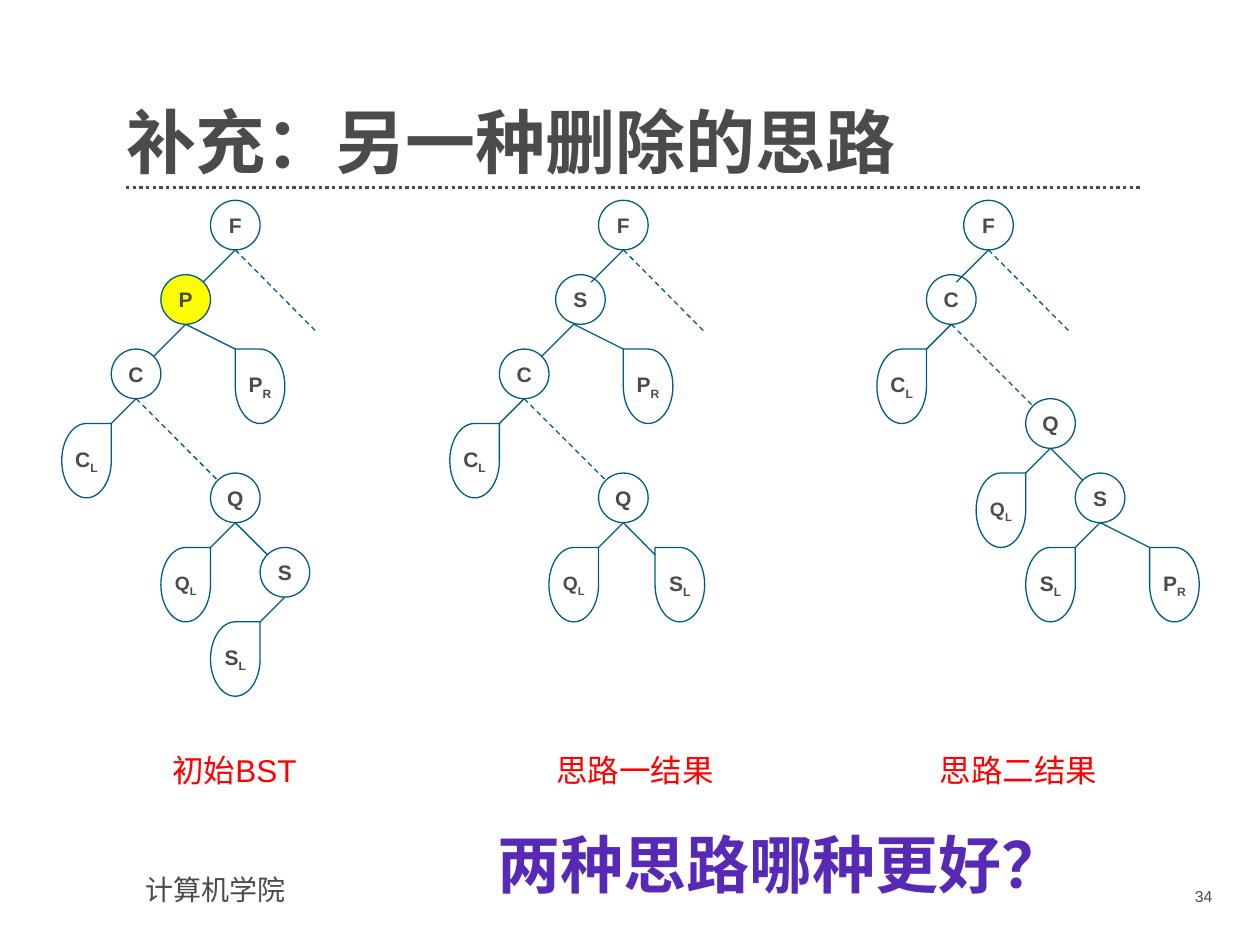
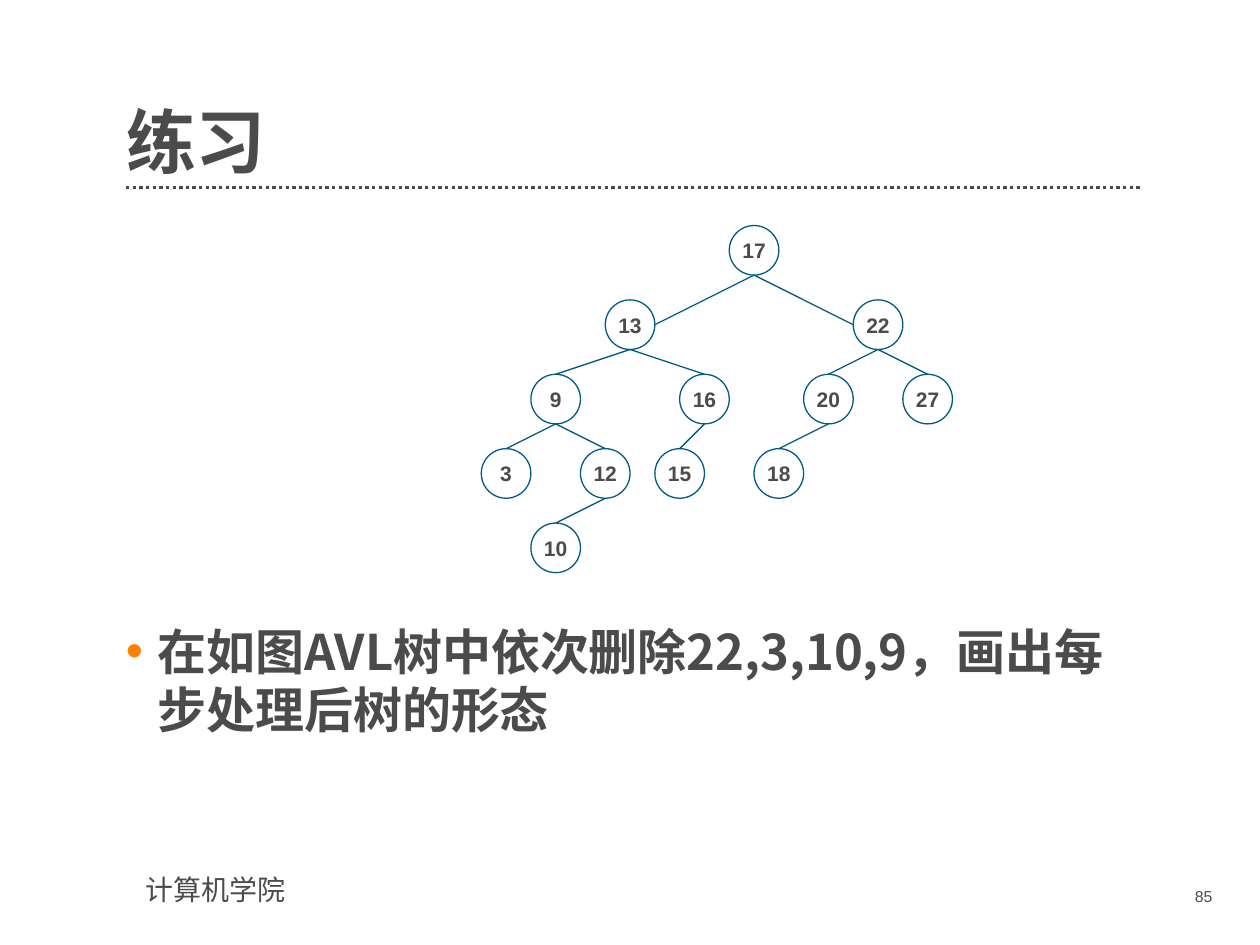
from lxml import etree
from pptx import Presentation
from pptx import util as u
from pptx.dml.color import RGBColor
from pptx.enum import dml, shapes, text
from pptx.oxml.ns import qn

PX = u.Inches(1) // 100      # one px is a hundredth of an inch
UNIT = 19.68                 # tree grid step in px; a node is two steps wide
RIM = 0.3                    # grid distance from a node's box to its rim on the diagonal
INK, BLUE, YELLOW = "4B4B4B", "005A84", "FFFF00"
RED, PURPLE, ORANGE = "FF0000", "5729B6", "FF8000"
LATIN, CJK = "Arial", "Noto Sans CJK SC"


def px(length):
    return round(length * PX)


def color(value):
    return RGBColor.from_string(value)


class Deck:
    """Shared style and the page being built."""

    def __init__(self):
        self.deck = Presentation()
        self.deck.slide_width, self.deck.slide_height = px(1000), px(750)
        self.page = None

    def add_page(self, title, number):
        self.page = self.deck.slides.add_slide(self.deck.slide_layouts[5])
        box = self.page.shapes.title
        box.left, box.top, box.width, box.height = px(100), px(55), px(806), px(91)
        para = self.fill_frame(box.text_frame, title, 40, font=CJK, bold=True, insets=(0, 0, 0, 0))
        box.text_frame.vertical_anchor = text.MSO_ANCHOR.BOTTOM
        para.line_spacing = 0.9
        self.line((100, 149), (906, 149), INK, 1.9, dml.MSO_LINE.ROUND_DOT)
        self.label("计算机学院", (106, 688, 276, 37), 16)
        self.label(number, (873, 699, 99, 29), 9, align=text.PP_ALIGN.RIGHT)

    def fill_frame(self, frame, words, size, ink=INK, font=LATIN, bold=False,
                   align=text.PP_ALIGN.LEFT, insets=(10, 5, 10, 5), wrap=True):
        frame.word_wrap = wrap
        frame.auto_size = text.MSO_AUTO_SIZE.NONE
        (frame.margin_left, frame.margin_top,
         frame.margin_right, frame.margin_bottom) = map(px, insets)
        para = frame.paragraphs[0]
        para.add_run().text = words
        para.alignment = align
        self.style(para, size, ink, font, bold)
        return para

    def style(self, para, size, ink, font, bold):
        para.font.size, para.font.bold = u.Pt(size), bold
        para.font.color.rgb = color(ink)
        para.font.name = font
        etree.SubElement(para.font._element, qn("a:ea"), typeface=CJK)

    def label(self, words, place, size, **options):
        box = self.page.shapes.add_textbox(*map(px, place))
        return self.fill_frame(box.text_frame, words, size, **options)

    def bullet(self, words, place, size):
        box = self.page.shapes.add_textbox(*map(px, place))
        frame = box.text_frame
        props = frame.paragraphs[0]._p.get_or_add_pPr()
        props.set("marL", str(px(25)))
        props.set("indent", str(-px(25)))
        tint = etree.SubElement(props, qn("a:buClr"))
        etree.SubElement(tint, qn("a:srgbClr"), val=ORANGE)
        etree.SubElement(props, qn("a:buFont"), typeface=LATIN)
        etree.SubElement(props, qn("a:buChar"), char="•")
        self.fill_frame(frame, words, size, font=CJK, bold=True, insets=(0, 0, 20, 0))

    def line(self, start, end, ink=BLUE, width=0.75, dash=None):
        line = self.page.shapes.add_connector(
            shapes.MSO_CONNECTOR.STRAIGHT, *map(px, (*start, *end)))
        line.line.color.rgb, line.line.width = color(ink), u.Pt(width)
        if dash:
            line.line.dash_style = dash
        etree.SubElement(line._element.spPr, qn("a:effectLst"))

    def node(self, name, left, top, leaf=False, flip=False, fill=None):
        kind = shapes.MSO_SHAPE.TEAR if leaf else shapes.MSO_SHAPE.OVAL
        shape = self.page.shapes.add_shape(
            kind, px(left), px(top), px(2 * UNIT), px((3 if leaf else 2) * UNIT))
        shape.shadow.inherit = False
        shape.line.color.rgb, shape.line.width = color(BLUE), u.Pt(0.75)
        if fill:
            shape.fill.solid()
            shape.fill.fore_color.rgb = color(fill)
        else:
            shape.fill.background()
        if flip:
            shape._element.spPr.xfrm.set("flipH", "1")
        para = self.fill_frame(
            shape.text_frame, name[0] if leaf else name, 11 if name == "QL" else 12,
            bold=True, align=text.PP_ALIGN.CENTER, insets=(0, 0, 0, 0), wrap=False)
        shape.text_frame.vertical_anchor = text.MSO_ANCHOR.MIDDLE
        if leaf:
            span = para.add_run()
            span.text = name[1]
            span.font._element.set("baseline", "-25000")

    def tree(self, left, top, rows, to_rim=False, nudges={}, tips={}):
        """Rows are name, grid x, grid y, parent; two letters make a subtree leaf."""
        def at(x, y):
            return left + x * UNIT, top + y * UNIT

        spots = {name: (x, y) for name, x, y, _ in rows}
        for name, x, y, parent in rows:
            leaf = name.isalpha() and len(name) == 2
            parent_x, parent_y = spots.get(parent, (x, y))
            on_right = x > parent_x
            self.node(name, *at(x + nudges.get(name, 0), y), leaf, leaf and on_right,
                      YELLOW if name == "P" else None)
            if not parent:
                continue
            if leaf:
                tip = (x if on_right else x + 2, y)
            elif to_rim:
                tip = (x + RIM if on_right else x + 2 - RIM, y + RIM)
            else:
                tip = (x + 1, y)
            self.line(at(parent_x + 1, parent_y + 2), at(*tips.get(name, tip)),
                      dash=dml.MSO_LINE.DASH if name == "Q" else None)

        # Dashed branch leading on from the root of a partial tree
        if to_rim:
            _, x, y, _ = rows[0]
            self.line(at(x + 1, y + 2), at(x + 4.27, y + 5.3), dash=dml.MSO_LINE.DASH)


def deletion_page(deck):
    deck.add_page("补充：另一种删除的思路", "34")

    # Three partial trees
    deck.tree(49, 159, [
        ("F", 6, 0, None), ("P", 4, 3, "F"), ("C", 2, 6, "P"), ("PR", 7, 6, "P"),
        ("CL", 0, 9, "C"), ("Q", 6, 11, "C"), ("QL", 4, 14, "Q"), ("S", 8, 14, "Q"),
        ("SL", 6, 17, "S")], to_rim=True)
    deck.tree(357, 159, [
        ("F", 6, 0, None), ("S", 4, 3, "F"), ("C", 2, 6, "S"), ("PR", 7, 6, "S"),
        ("CL", 0, 9, "C"), ("Q", 6, 11, "C"), ("QL", 4, 14, "Q"), ("SL", 8.28, 14, "Q")],
        to_rim=True, nudges={"S": 0.27}, tips={"SL": (8.28, 14.3)})
    deck.tree(696, 159, [
        ("F", 3.5, 0, None), ("C", 2, 3, "F"), ("CL", 0, 6, "C"), ("Q", 6, 8, "C"),
        ("QL", 4, 11, "Q"), ("S", 8, 11, "Q"), ("SL", 6, 14, "S"), ("PR", 11, 14, "S")],
        to_rim=True, tips={"C": (3.2, 3.3)})

    # Captions and question
    for column, caption in enumerate(("初始BST", "思路一结果", "思路二结果")):
        deck.label(caption, (127 + 304.5 * column, 591, 200, 40), 18, ink=RED)
    deck.label("两种思路哪种更好？", (382, 650, 476, 71), 36, ink=PURPLE, bold=True,
               align=text.PP_ALIGN.CENTER, wrap=False)


def exercise_page(deck):
    deck.add_page("练习", "85")
    deck.tree(382, 179, [
        ("17", 10, 0, None), ("13", 5, 3, "17"), ("22", 15, 3, "17"),
        ("9", 2, 6, "13"), ("16", 8, 6, "13"), ("20", 13, 6, "22"), ("27", 17, 6, "22"),
        ("3", 0, 9, "9"), ("12", 4, 9, "9"), ("15", 7, 9, "16"), ("18", 11, 9, "20"),
        ("10", 2, 12, "12")], tips={"13": (7, 4), "22": (15, 4)})
    deck.bullet("在如图AVL树中依次删除22,3,10,9，画出每步处理后树的形态", (100, 493, 806, 174), 28)


def main():
    deck = Deck()
    deletion_page(deck)
    exercise_page(deck)
    deck.deck.save("out.pptx")


if __name__ == "__main__":
    main()
